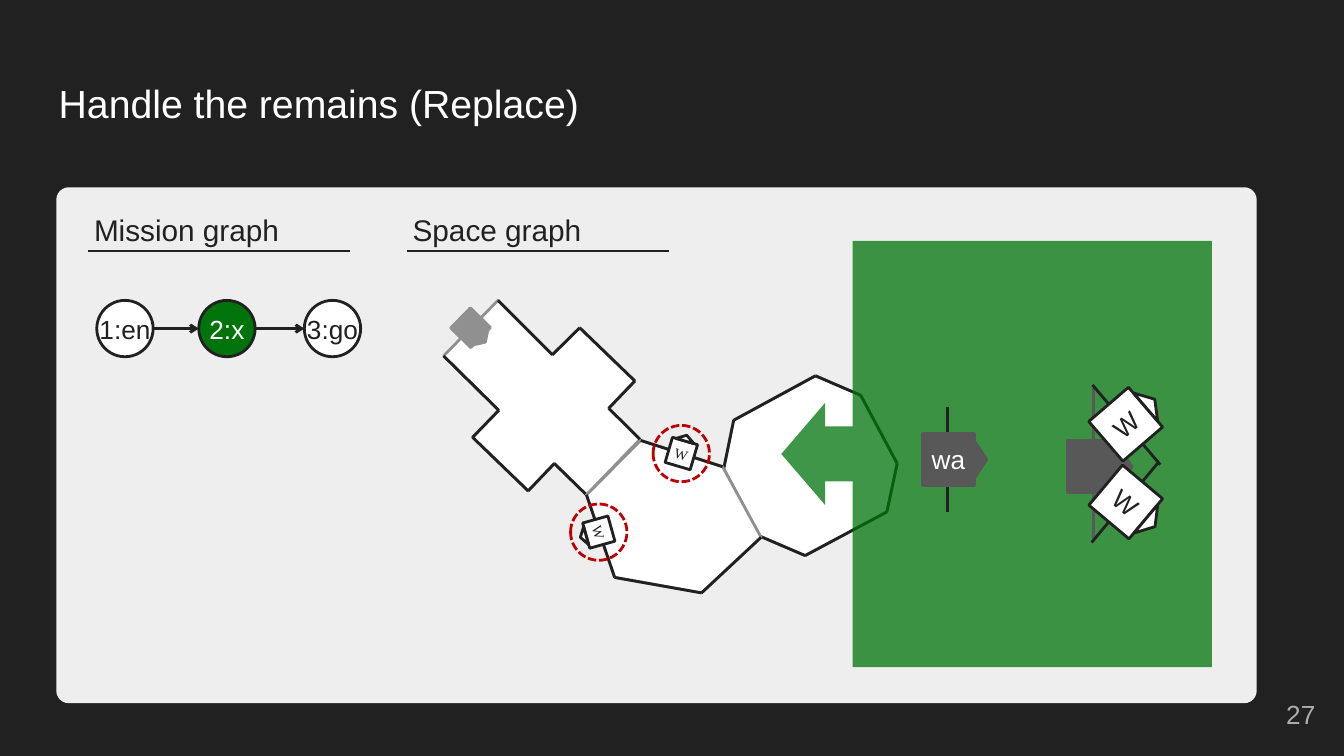
import math

import pptx
import pptx.dml.color
import pptx.enum.dml
import pptx.enum.shapes
import pptx.enum.text
import pptx.oxml.ns
import pptx.util
from lxml import etree

Cm, Pt = pptx.util.Cm, pptx.util.Pt
SHAPE = pptx.enum.shapes.MSO_SHAPE
ALIGN = pptx.enum.text.PP_ALIGN
ANCHOR = pptx.enum.text.MSO_ANCHOR

COLOURS = {
    "ink": "212121", "panel": "EEEEEE", "white": "FFFFFF", "number": "ADADAD",
    "green": "00740B", "door": "909090", "tag": "585858", "alert": "C00000",
}
NODE_SIZE = 1.42
NODE_Y = 8.28


def rgb(name):
    return pptx.dml.color.RGBColor.from_string(COLOURS[name])


def write(shape, text, size, colour, font="Arial", align=ALIGN.CENTER,
          anchor=ANCHOR.MIDDLE, margin=0.0, wrap=False):
    frame = shape.text_frame
    frame.word_wrap = wrap
    frame.auto_size = pptx.enum.text.MSO_AUTO_SIZE.NONE
    frame.vertical_anchor = anchor
    frame.margin_left = frame.margin_right = Cm(margin)
    frame.margin_top = frame.margin_bottom = Cm(margin)
    para = frame.paragraphs[0]
    para.alignment = align
    span = para.add_run()
    span.text = text
    span.font.size = Pt(size)
    span.font.name = font
    span.font.color.rgb = rgb(colour)


def paint(shape, fill=None, line=None):
    shape.shadow.inherit = False
    if fill:
        shape.fill.solid()
        shape.fill.fore_color.rgb = rgb(fill)
    else:
        shape.fill.background()
    if line:
        shape.line.color.rgb = rgb(line)
        shape.line.width = Pt(2)
    else:
        shape.line.fill.background()


def add_box(page, kind, left, top, width, height, fill=None, line=None):
    box = page.shapes.add_shape(kind, Cm(left), Cm(top), Cm(width), Cm(height))
    paint(box, fill, line)
    return box


def add_centred(page, kind, centre, width, height, fill=None, line=None, turn=0):
    x, y = centre
    box = add_box(page, kind, x - width / 2, y - height / 2, width, height, fill, line)
    box.rotation = turn % 360
    return box


def add_text(page, text, left, top, width, height, size, colour, align, margin):
    box = page.shapes.add_textbox(Cm(left), Cm(top), Cm(width), Cm(height))
    write(box, text, size, colour, align=align, margin=margin, wrap=True)


def add_line(page, start, end, colour="ink", weight=2, arrow=False):
    line = page.shapes.add_connector(
        pptx.enum.shapes.MSO_CONNECTOR.STRAIGHT, *[Cm(v) for v in (*start, *end)])
    line.line.color.rgb = rgb(colour)
    line.line.width = Pt(weight)
    if arrow:
        etree.SubElement(line.line._get_or_add_ln(),
                         pptx.oxml.ns.qn("a:tailEnd"), type="arrow")
    etree.SubElement(line._element.spPr, pptx.oxml.ns.qn("a:effectLst"))


def add_heading(page, text, left):
    add_text(page, text, left, 4.98, 6.93, 1.63, 21.3, "ink", ALIGN.LEFT, 0.34)
    add_line(page, (left + 0.19, 6.32), (left + 6.79, 6.32), weight=1.25)


def add_node(page, x, label, fill, colour):
    node = add_centred(page, SHAPE.OVAL, (x, NODE_Y), NODE_SIZE, NODE_SIZE, fill, "ink")
    write(node, label, 18.7, colour)


def add_room(page, corners, doors):
    """Draw a room; every side whose index is not in doors gets a dark wall."""
    points = [(Cm(x), Cm(y)) for x, y in corners]
    builder = page.shapes.build_freeform(*points[0])
    builder.add_line_segments(points[1:], close=True)
    paint(builder.convert_to_shape(), "white", "door")
    for side, (start, end) in enumerate(zip(corners, corners[1:] + corners[:1])):
        if side not in doors:
            add_line(page, start, end)


def add_marker(page, centre, side, turn, point, fill, line):
    """Draw a square with a triangle that points at the angle turn + point."""
    angle = math.radians(turn + point)
    reach = side * 0.615
    tip = (centre[0] + reach * math.sin(angle), centre[1] - reach * math.cos(angle))
    square = add_centred(page, SHAPE.RECTANGLE, centre, side, side, fill, line, turn)
    add_centred(page, SHAPE.ISOSCELES_TRIANGLE, tip, side * 0.71, side * 0.23,
                fill, line, turn + point)
    return square


def add_mission_graph(page):
    add_heading(page, "Mission graph", 2.03)
    nodes = [(3.15, "1:en", "white", "ink"), (5.72, "2:x", "green", "white"),
             (8.38, "3:go", "white", "ink")]
    for node in nodes:
        add_node(page, *node)
    for here, there in zip(nodes, nodes[1:]):
        add_line(page, (here[0] + NODE_SIZE / 2, NODE_Y),
                 (there[0] - NODE_SIZE / 2, NODE_Y), arrow=True)


def add_space_graph(page):
    add_heading(page, "Space graph", 10.06)
    octagon = [(18.49, 10.59), (20.55, 9.47), (21.69, 9.96), (22.61, 11.68),
               (22.35, 12.9), (20.29, 14), (19.15, 13.51), (18.24, 11.81)]
    cross = [(14.61, 8.26), (16, 9.6), (15.34, 10.29), (16.13, 11.07),
             (14.78, 12.47), (13.97, 11.68), (13.31, 12.37), (11.91, 11.02),
             (12.57, 10.34), (11.18, 8.97), (12.55, 7.57), (13.92, 8.94)]
    hexagon = [(18.21, 11.76), (19.18, 13.54), (17.68, 14.94), (15.49, 14.55),
               (14.78, 12.47), (16.15, 11.1)]
    add_room(page, octagon, {6})
    add_room(page, cross, {3, 9})
    add_marker(page, (11.86, 8.26), 0.71, 44.3, 90, "door", "door")
    add_room(page, hexagon, {0, 4})

    # Remaining walls, each ringed
    remains = [((15.09, 13.41), 74.4, 180), ((17.17, 11.43), 16.4, 0)]
    for centre, turn, point in remains:
        square = add_marker(page, centre, 0.66, turn, point, "white", "ink")
        write(square, "W", 10.1, "ink", font="Times New Roman")
    for centre, _, _ in remains:
        ring = add_centred(page, SHAPE.OVAL, centre, NODE_SIZE, NODE_SIZE, line="alert")
        ring.line.dash_style = pptx.enum.dml.MSO_LINE.SQUARE_DOT


def add_replacement(page):
    callout = add_box(page, SHAPE.LEFT_ARROW_CALLOUT, 19.69, 6.07, 10.85, 10.74, "green")
    for index, value in enumerate((0.129, 0.12, 0.103, 0.834)):
        callout.adjustments[index] = value
    colour = callout._element.spPr.find(".//" + pptx.oxml.ns.qn("a:srgbClr"))
    etree.SubElement(colour, pptx.oxml.ns.qn("a:alpha"), val="75000")

    # Wall rule
    add_line(page, (23.88, 10.26), (23.88, 12.9))
    write(add_marker(page, (23.9, 11.58), 1.32, 0, 90, "tag", "tag"),
          "wa", 18.7, "white")

    # What replaces it
    add_line(page, (27.56, 9.78), (27.56, 13.67), "tag")
    add_marker(page, (27.56, 11.76), 1.32, 0, 90, "tag", "tag")
    for start, end, centre, turn in (
            ((27.53, 9.7), (29.24, 11.71), (28.37, 10.69), -40.7),
            ((29.21, 11.63), (27.51, 13.67), (28.37, 12.65), 40)):
        add_line(page, start, end)
        square = add_marker(page, centre, 1.32, turn, 90, "white", "ink")
        write(square, "W", 18.7, "ink")


def main():
    deck = pptx.Presentation()
    deck.slide_width, deck.slide_height = Cm(33.87), Cm(19.05)
    page = deck.slides.add_slide(deck.slide_layouts[5])
    page.background.fill.solid()
    page.background.fill.fore_color.rgb = rgb("ink")

    # Title, panel and page number
    title = page.shapes.title
    title.left, title.top, title.width, title.height = (
        Cm(1.14), Cm(1.65), Cm(31.55), Cm(2.13))
    write(title, "Handle the remains (Replace)", 28, "white", align=ALIGN.LEFT,
          anchor=ANCHOR.TOP, margin=0.34, wrap=True)
    panel = add_box(page, SHAPE.ROUNDED_RECTANGLE, 1.42, 4.72, 30.25, 13, "panel")
    panel.adjustments[0] = 0.024
    add_text(page, "27", 31.37, 17.27, 2.03, 1.45, 18.7, "number", ALIGN.RIGHT, 0.25)

    add_mission_graph(page)
    add_space_graph(page)
    add_replacement(page)
    deck.save("out.pptx")


main()
